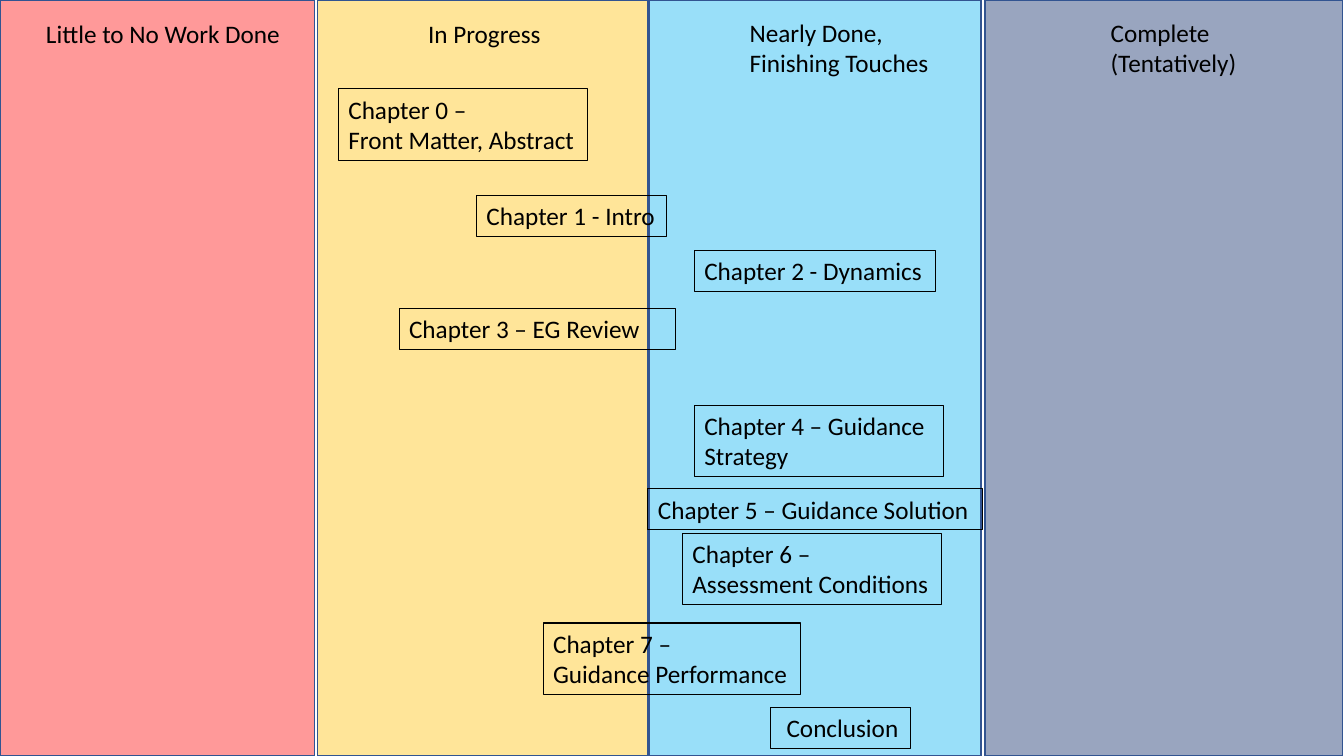
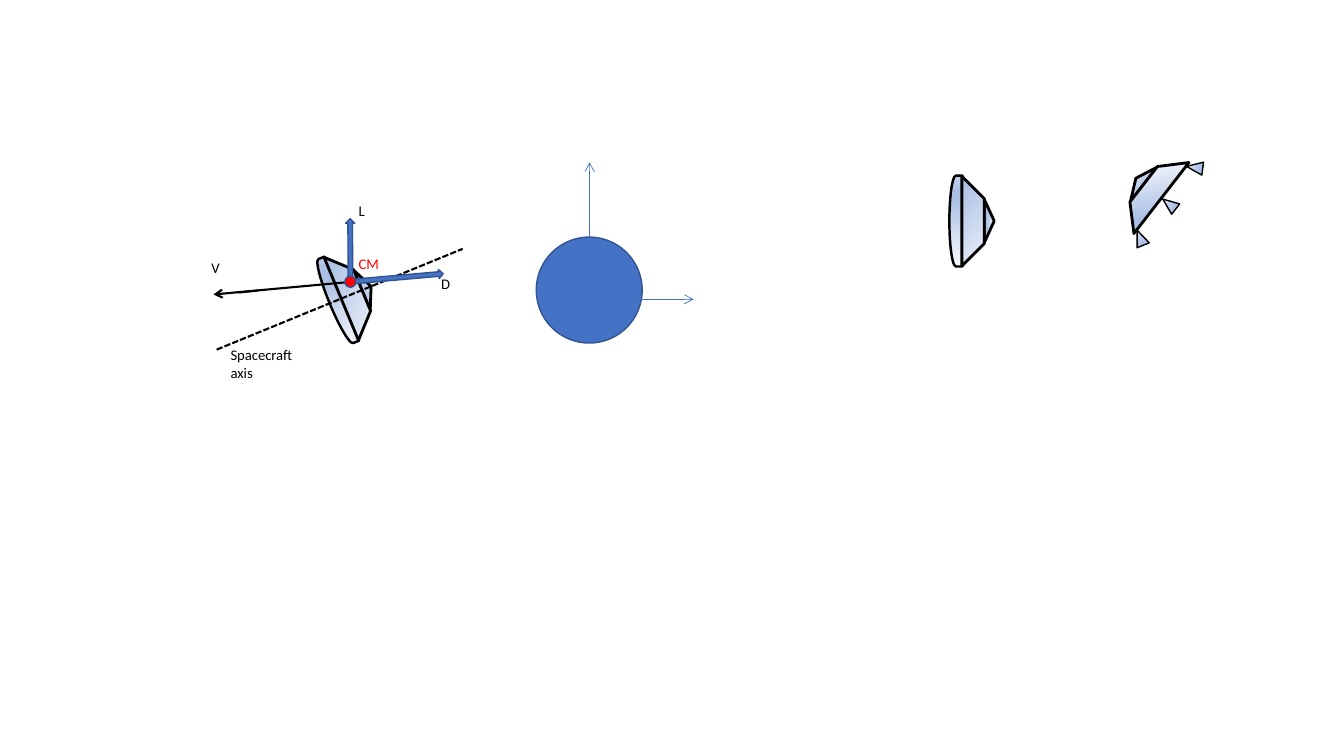
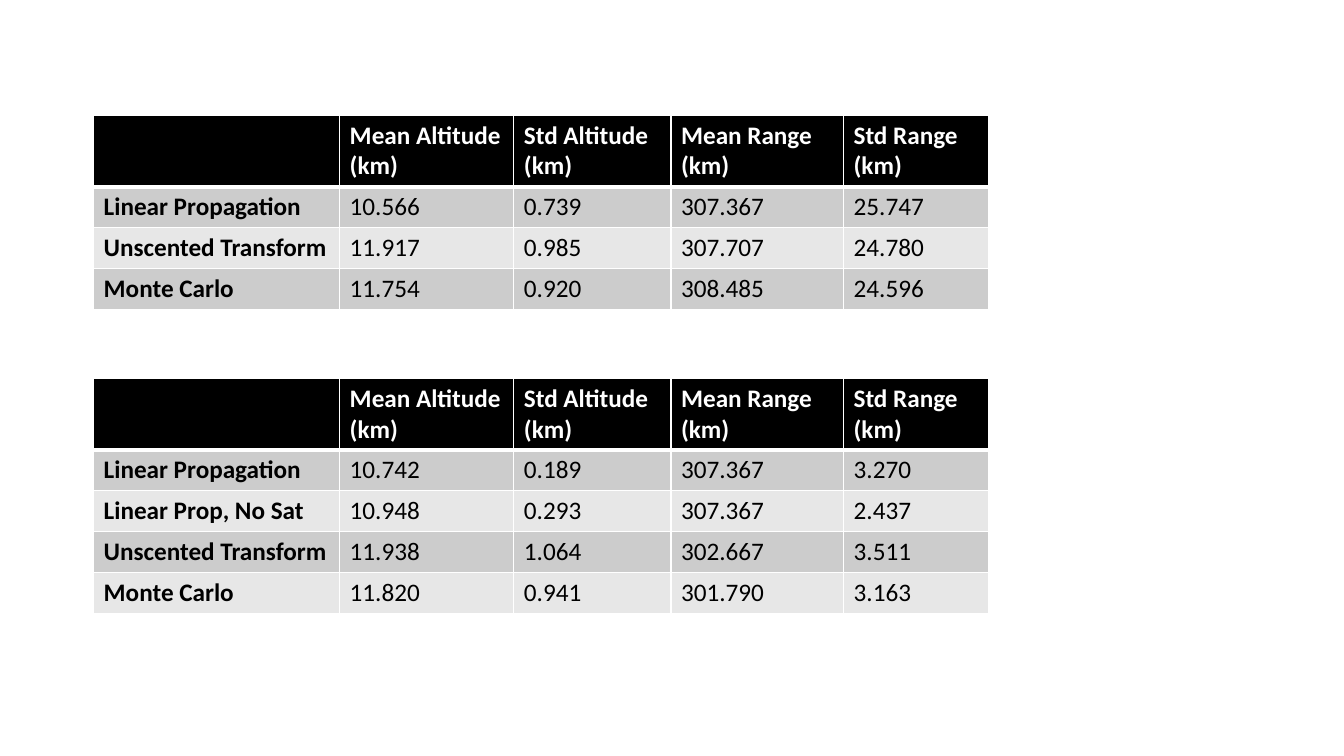
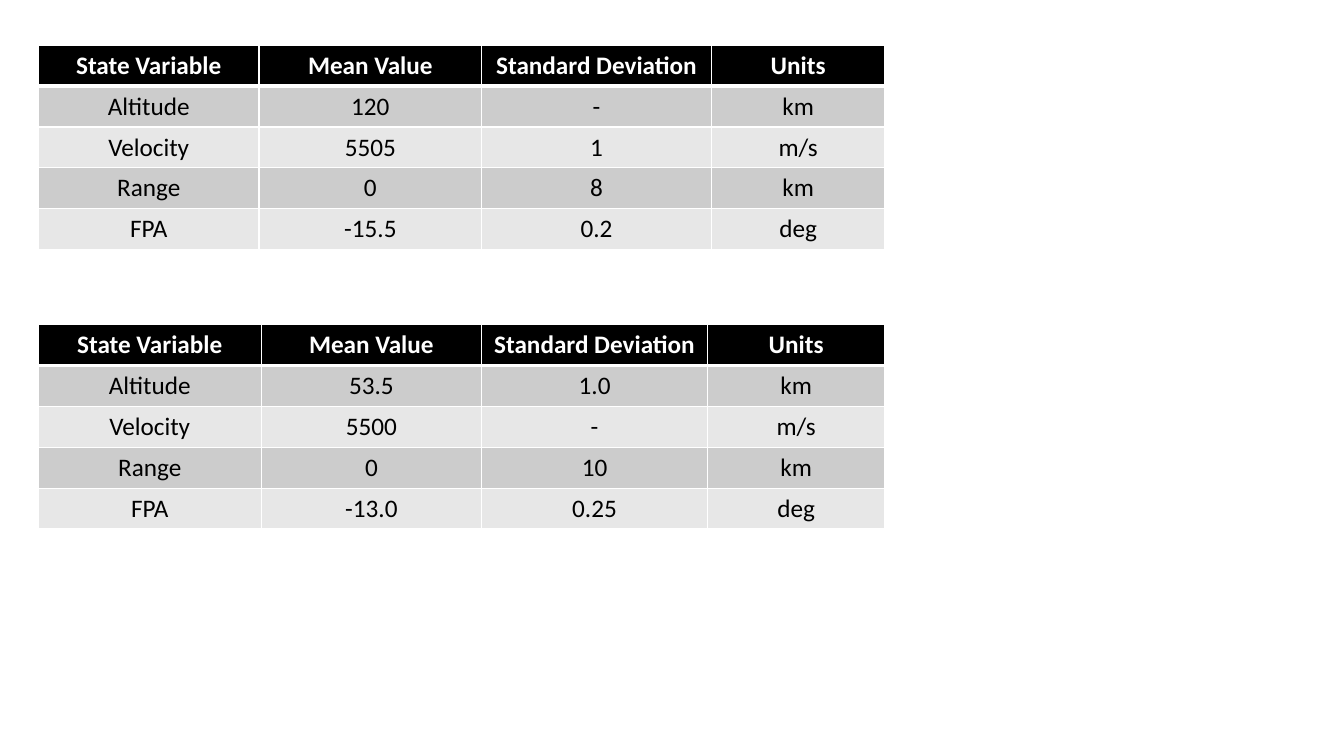
from dataclasses import dataclass
from math import cos, radians, sin

from pptx import Presentation
from pptx.dml.color import RGBColor
from pptx.enum.dml import MSO_LINE as Dash
from pptx.enum.shapes import MSO_CONNECTOR as Link, MSO_SHAPE as Kind
from pptx.enum.text import MSO_AUTO_SIZE as Fit, PP_ALIGN as Align
from pptx.oxml import parse_xml
from pptx.oxml.ns import nsdecls, qn
from pptx.util import Cm, Pt


@dataclass(frozen=True)
class Theme:
    font: str = "Calibri"
    body: float = 18
    small: float = 10.5
    ink: str = "000000"
    paper: str = "FFFFFF"
    blue: str = "4472C4"
    edge: str = "325491"
    red: str = "FF0000"
    amber: str = "FFC000"
    sky: str = "00B0F0"
    navy: str = "002060"
    bands: tuple = ("CCCCCC", "E7E7E7")
    metal: tuple = ((0, "F6F8FC"), (74, "ABC0E4"), (83, "ABC0E4"), (100, "C7D5ED"))


THEME = Theme()


def rgb(code):
    return RGBColor.from_string(code)


def node(tag, attrs="", inner=""):
    return parse_xml(f"<a:{tag} {nsdecls('a')} {attrs}>{inner}</a:{tag}>")


def style(par, size, color, bold=False, align=Align.LEFT):
    par.alignment = align
    font = par.font
    font.name, font.size, font.bold = THEME.font, Pt(size), bold
    font.color.rgb = rgb(color)


def label(slide, text, x, y, w, h, size=THEME.body, color=THEME.ink, wrap=False, frame=False):
    box = slide.shapes.add_textbox(Cm(x), Cm(y), Cm(w), Cm(h))
    body = box.text_frame
    body.word_wrap = wrap
    body.auto_size = Fit.SHAPE_TO_FIT_TEXT
    body.text = text
    for par in body.paragraphs:
        style(par, size, color)
    if frame:
        box.line.color.rgb = rgb(THEME.ink)
        box.line.width = Pt(0.75)


def block(slide, kind, x, y, w, h, fill, edge=THEME.edge, width=1, turn=0):
    shape = slide.shapes.add_shape(kind, Cm(x - w / 2), Cm(y - h / 2), Cm(w), Cm(h))
    shape.shadow.inherit = False
    shape.rotation = turn % 360
    shape.fill.solid()
    shape.fill.fore_color.rgb = rgb(fill)
    shape.line.color.rgb = rgb(edge)
    shape.line.width = Pt(width)
    return shape


def lane(slide, x, w, color):
    shape = block(slide, Kind.RECTANGLE, x + w / 2, 19.05 / 2, w, 19.05, color)
    shape.element.spPr.find(qn("a:solidFill"))[0].append(node("alpha", 'val="40000"'))


def shade(shape):
    stops = "".join(
        f'<a:gs pos="{pos * 1000}"><a:srgbClr val="{color}"/></a:gs>'
        for pos, color in THEME.metal
    )
    inner = f'<a:gsLst>{stops}</a:gsLst><a:lin ang="5400000" scaled="0"/>'
    props = shape.element.spPr
    props.replace(props.find(qn("a:solidFill")), node("gradFill", 'rotWithShape="1"', inner))


def craft(slide, x, y, tilt, parts):
    c, s = cos(radians(tilt)), sin(radians(tilt))
    for kind, dx, dy, w, h, turn, width in parts:
        shade(block(slide, kind, x + dx * c - dy * s, y + dx * s + dy * c, w, h,
                    THEME.paper, THEME.ink, width, tilt + turn))


def line(slide, x1, y1, x2, y2, color=THEME.ink, width=1.5, dash=None, arrow=False):
    link = slide.shapes.add_connector(Link.STRAIGHT, Cm(x1), Cm(y1), Cm(x2), Cm(y2))
    link.line.color.rgb = rgb(color)
    link.line.width = Pt(width)
    if dash:
        link.line.dash_style = dash
    props = link.element.spPr
    if arrow:
        props.find(qn("a:ln")).append(node("tailEnd", 'type="arrow"'))
    props.append(node("effectLst"))


def border(cell, row):
    props = cell._tc.get_or_add_tcPr()
    thick = {"T": row == 1, "B": row == 0}
    for side in "LRTB":
        width = Pt(3 if thick.get(side) else 1)
        fill = f'<a:solidFill><a:srgbClr val="{THEME.paper}"/></a:solidFill>'
        props.append(node(f"ln{side}", f'w="{width}"', fill))


def grid(slide, x, y, widths, rows, head=1.03, lead=False, align=Align.LEFT):
    tall = [head] + [1.03] * (len(rows) - 1)
    table = slide.shapes.add_table(
        len(rows), len(widths), Cm(x), Cm(y), Cm(sum(widths)), Cm(sum(tall))
    ).table
    for col, width in zip(table.columns, widths):
        col.width = Cm(width)
    for r, texts in enumerate(rows):
        table.rows[r].height = Cm(tall[r])
        for c, text in enumerate(texts):
            cell = table.cell(r, c)
            border(cell, r)
            cell.fill.solid()
            cell.fill.fore_color.rgb = rgb(THEME.bands[(r - 1) % 2] if r else THEME.ink)
            cell.text = text
            style(cell.text_frame.paragraphs[0], THEME.body,
                  THEME.ink if r else THEME.paper, r == 0 or (lead and c == 0), align)


def board(slide):
    for x, w, color in (
        (24.82, 9.02, THEME.navy), (16.36, 8.36, THEME.sky),
        (8, 8.33, THEME.amber), (0, 7.92, THEME.red),
    ):
        lane(slide, x, w, color)
    for text, x, y, w, h in (
        ("Little to No Work Done", 0.91, 0.33, 6.5, 1.03),
        ("In Progress", 10.54, 0.33, 3.38, 1.03),
        ("Nearly Done, \nFinishing Touches", 18.64, 0.3, 5.08, 1.8),
        ("Complete\n(Tentatively)", 27.74, 0.3, 3.71, 1.8),
    ):
        label(slide, text, x, y, w, h)
    for text, x, y, w, h, wrap in (
        ("Chapter 1 - Intro", 12.01, 4.93, 4.8, 1.03, False),
        ("Chapter 2 - Dynamics", 17.5, 6.32, 6.07, 1.03, False),
        ("Chapter 3 – EG Review", 10.06, 7.77, 6.96, 1.03, True),
        ("Chapter 0 – \nFront Matter, Abstract", 8.53, 2.24, 6.27, 1.8, False),
        ("Chapter 4 – Guidance Strategy", 17.5, 10.21, 6.27, 1.8, True),
        ("Chapter 6 – \nAssessment Conditions", 17.2, 13.44, 6.53, 1.8, False),
        ("Chapter 5 – Guidance Solution", 16.33, 12.32, 8.43, 1.03, False),
        (" Conclusion", 19.43, 17.83, 3.51, 1.03, False),
        ("Chapter 7 – \nGuidance Performance", 13.69, 15.7, 6.48, 1.8, False),
    ):
        label(slide, text, x, y, w, h, wrap=wrap, frame=True)


def forces(slide):
    nose = (Kind.ISOSCELES_TRIANGLE, 0.69, 0, 1.09, 0.25, 90, 2)
    shield = (Kind.FLOWCHART_DELAY, -0.15, 0, 0.33, 2.29, 180, 1.75)
    shell = (Kind.DIAGONAL_STRIPE, 0, 0, 1.6, 1.6, 135, 2)
    jets = [
        (Kind.ISOSCELES_TRIANGLE, dx, dy, 0.33, 0.41, turn, 1)
        for dx, dy, turn in ((-0.25, 0, 90), (-0.19, -1.12, 120), (-0.19, 1.12, 60))
    ]
    block(slide, Kind.OVAL, 14.85, 7.31, 2.67, 2.67, THEME.blue)
    craft(slide, 29.27, 4.99, 217.8, [nose, shell, *jets])
    craft(slide, 8.6, 7.53, -22.5, [nose, shield, shell])
    craft(slide, 24.24, 5.57, 0, [nose, shield, shell])

    line(slide, 5.46, 8.81, 11.66, 6.27, dash=Dash.SQUARE_DOT)
    line(slide, 8.76, 7.11, 5.38, 7.42, arrow=True)
    line(slide, 6.02, 7.37, 6.5, 7.32)
    block(slide, Kind.RIGHT_ARROW, 9.98, 7, 2.39, 0.23, THEME.blue, turn=355)
    block(slide, Kind.RIGHT_ARROW, 8.83, 6.31, 1.6, 0.23, THEME.blue, turn=269.7)
    block(slide, Kind.OVAL, 8.83, 7.1, 0.28, 0.28, THEME.red)
    line(slide, 14.83, 7.54, 17.48, 7.54, THEME.blue, 0.5, arrow=True)
    line(slide, 14.86, 7.26, 14.86, 4.09, THEME.blue, 0.5, arrow=True)

    for text, x, y, w, h, color in (
        ("V", 5.08, 6.4, 0.74, 0.74, THEME.ink),
        ("D", 10.87, 6.81, 0.76, 0.74, THEME.ink),
        ("L", 8.79, 4.95, 0.69, 0.74, THEME.ink),
        ("CM", 8.79, 6.3, 1.07, 0.74, THEME.red),
        ("Spacecraft\naxis", 5.56, 8.59, 2.18, 1.19, THEME.ink),
    ):
        label(slide, text, x, y, w, h, THEME.small, color)


def results(slide):
    head = ("", "Mean Altitude (km)", "Std Altitude (km)", "Mean Range (km)", "Std Range (km)")
    widths = (6.2, 4.39, 3.96, 4.35, 3.66)
    for y, rows in (
        (2.9, (
            ("Linear Propagation", "10.566", "0.739", "307.367", "25.747"),
            ("Unscented Transform", "11.917", "0.985", "307.707", "24.780"),
            ("Monte Carlo", "11.754", "0.920", "308.485", "24.596"),
        )),
        (9.53, (
            ("Linear Propagation", "10.742", "0.189", "307.367", "3.270"),
            ("Linear Prop, No Sat", "10.948", "0.293", "307.367", "2.437"),
            ("Unscented Transform", "11.938", "1.064", "302.667", "3.511"),
            ("Monte Carlo", "11.820", "0.941", "301.790", "3.163"),
        )),
    ):
        grid(slide, 2.36, y, widths, (head, *rows), head=1.78, lead=True)


def states(slide):
    head = ("State Variable", "Mean Value", "Standard Deviation", "Units")
    names = ("Altitude", "Velocity", "Range", "FPA")
    units = ("km", "m/s", "km", "deg")
    for y, widths, means, devs in (
        (1.14, (5.56, 5.61, 5.79, 4.37),
         ("120", "5505", "0", "-15.5"), ("-", "1", "8", "0.2")),
        (8.18, (5.61, 5.56, 5.69, 4.47),
         ("53.5", "5500", "0", "-13.0"), ("1.0", "-", "10", "0.25")),
    ):
        rows = (head, *zip(names, means, devs, units))
        grid(slide, 0.97, y, widths, rows, align=Align.CENTER)


def main():
    deck = Presentation()
    deck.slide_width, deck.slide_height = Cm(33.87), Cm(19.05)
    for build in (board, forces, results, states):
        build(deck.slides.add_slide(deck.slide_layouts[6]))
    deck.save("out.pptx")


main()
